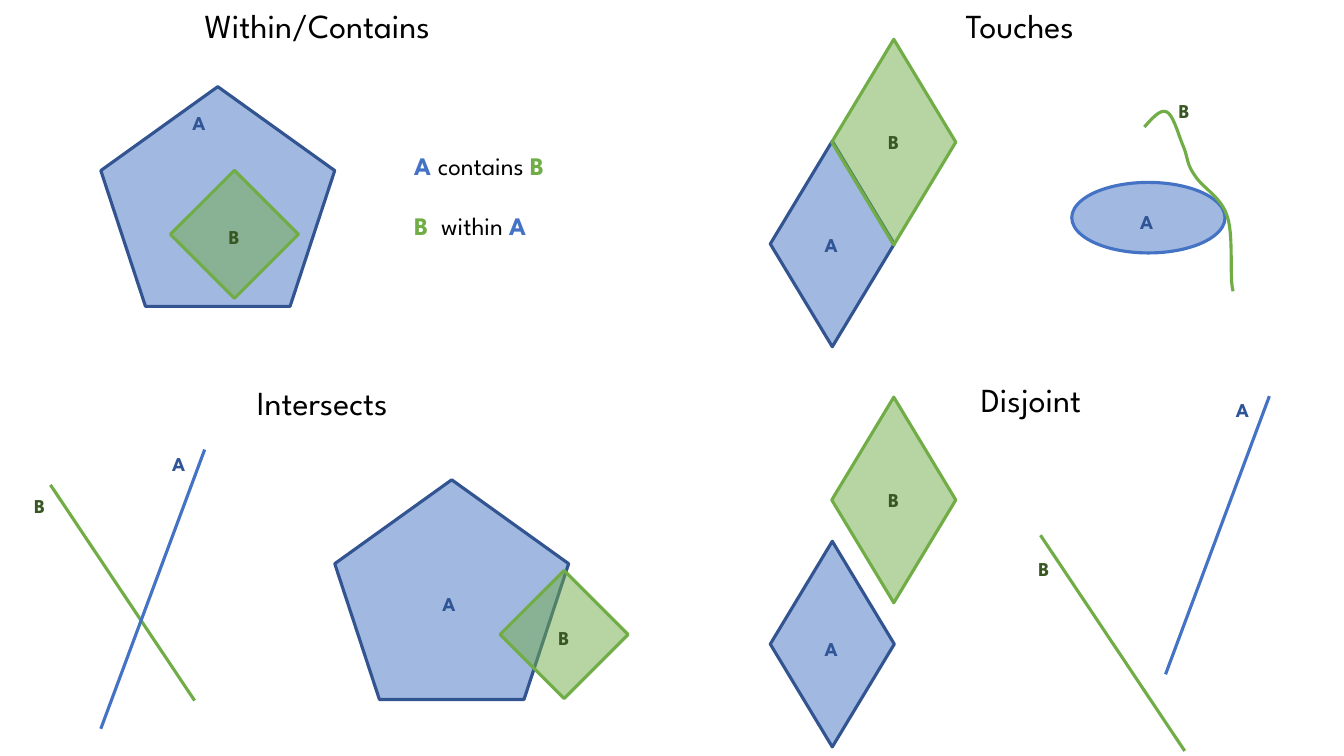
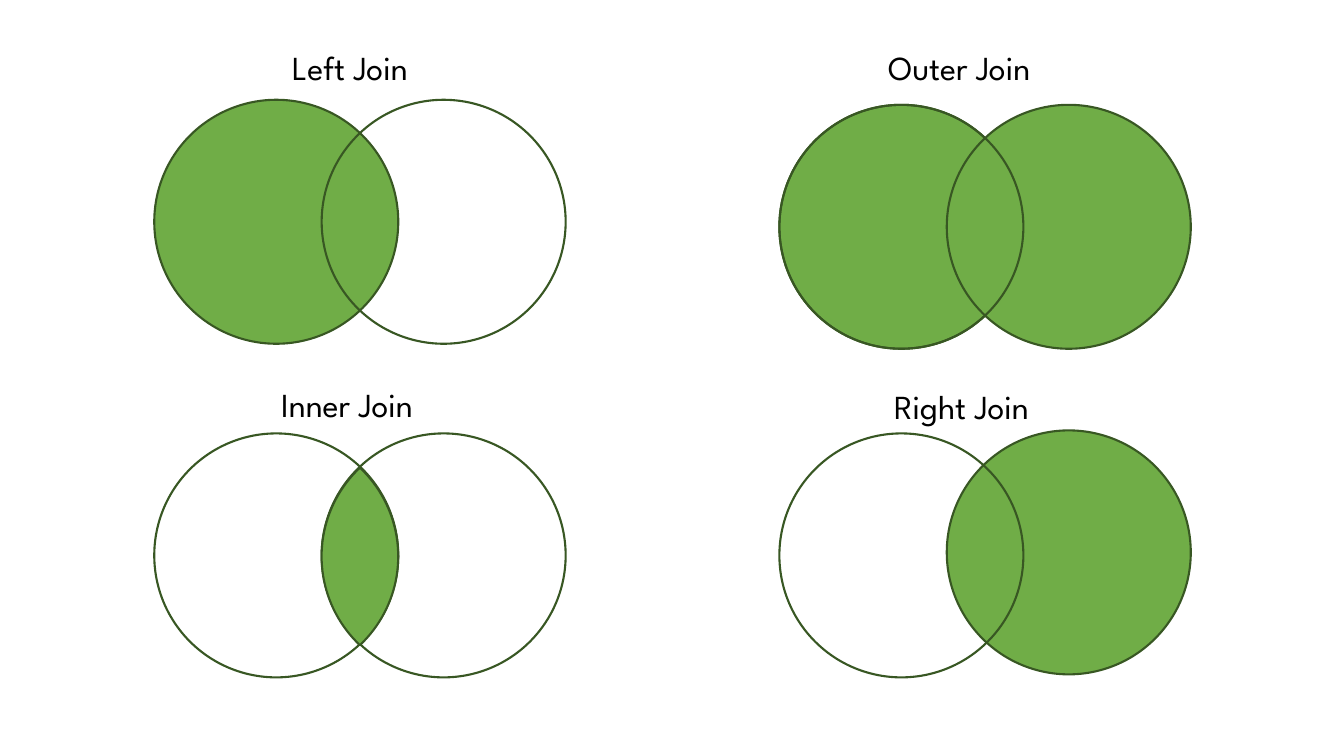
from math import acos, cos, pi, sin
from lxml.etree import SubElement
from pptx import Presentation
from pptx.dml.color import RGBColor
from pptx.enum.shapes import MSO_CONNECTOR, MSO_SHAPE
from pptx.enum.text import MSO_AUTO_SIZE
from pptx.oxml.ns import qn
from pptx.util import Inches, Pt

FONT = "League Spartan"
BLACK = RGBColor(0x00, 0x00, 0x00)
WHITE = RGBColor(0xFF, 0xFF, 0xFF)
BLUE = RGBColor(0x44, 0x72, 0xC4)
BLUE_EDGE = RGBColor(0x32, 0x54, 0x91)
BLUE_TEXT = RGBColor(0x2F, 0x55, 0x97)
GREEN = RGBColor(0x70, 0xAD, 0x47)
GREEN_DARK = RGBColor(0x38, 0x57, 0x23)


def write(slide, box, paragraphs, size):
    frame = slide.shapes.add_textbox(*map(Inches, box)).text_frame
    frame.word_wrap = False
    frame.auto_size = MSO_AUTO_SIZE.SHAPE_TO_FIT_TEXT
    for index, pieces in enumerate(paragraphs):
        paragraph = frame.add_paragraph() if index else frame.paragraphs[0]
        if index:
            paragraph.space_before = Pt(21.5)
        for words, color, bold in pieces:
            run = paragraph.add_run()
            run.text = words
            run.font.name = FONT
            run.font.size = Pt(size)
            run.font.bold = bold
            run.font.color.rgb = color


def paint(shape, fill, edge, weight, opacity=100):
    shape.shadow.inherit = False
    shape.line.color.rgb = edge
    shape.line.width = Pt(weight)
    if fill is None:
        shape.fill.background()
        return
    shape.fill.solid()
    shape.fill.fore_color.rgb = fill
    if opacity < 100:
        tint = shape.element.spPr.find(qn("a:solidFill"))[0]
        SubElement(tint, qn("a:alpha")).set("val", str(opacity * 1000))


deck = Presentation()
deck.slide_width = Inches(13.33)
deck.slide_height = Inches(7.5)
blank = deck.slide_layouts[6]

relations = deck.slides.add_slide(blank)

for name, left, top, width in [
    ("Within/Contains", 1.93, 0, 2.78),
    ("Touches", 9.48, 0, 1.54),
    ("Intersects", 2.45, 3.74, 1.73),
    ("Disjoint", 9.63, 3.71, 1.33),
]:
    write(relations, (left, top, width, 0.5), [[(name, BLACK, False)]], 24)

write(relations, (4.01, 1.44, 1.72, 1.01), [
    [("A ", BLUE, True), ("contains ", BLACK, False), ("B", GREEN, True)],
    [("B ", GREEN, True), (" within ", BLACK, False), ("A", BLUE, True)],
], 18)

pentagon = (MSO_SHAPE.REGULAR_PENTAGON, 2.32, 2.18, BLUE, BLUE_EDGE)
square = (MSO_SHAPE.DIAMOND, 1.27, 1.27, GREEN, GREEN)
rhombus_a = (MSO_SHAPE.DIAMOND, 1.23, 2.04, BLUE, BLUE_EDGE)
rhombus_b = (MSO_SHAPE.DIAMOND, 1.23, 2.04, GREEN, GREEN)
lake = (MSO_SHAPE.OVAL, 1.52, 0.7, BLUE, BLUE)
for (kind, width, height, fill, edge), left, top in [
    (pentagon, 1, 0.86), (square, 1.69, 1.69),
    (lake, 10.63, 1.81),
    (rhombus_a, 7.64, 1.4), (rhombus_b, 8.25, 0.39),
    (pentagon, 3.32, 4.76), (square, 4.96, 5.66),
    (rhombus_a, 7.64, 5.37), (rhombus_b, 8.25, 3.94),
]:
    region = relations.shapes.add_shape(
        kind, Inches(left), Inches(top), Inches(width), Inches(height))
    paint(region, fill, edge, 2.25, 50)

river_bends = [
    ((11.43, 1.17), (11.51, 1.08), (11.57, 1.11)),
    ((11.64, 1.14), (11.69, 1.35), (11.74, 1.46)),
    ((11.78, 1.56), (11.77, 1.63), (11.85, 1.74)),
    ((11.92, 1.86), (12.11, 1.95), (12.17, 2.14)),
    ((12.24, 2.33), (12.19, 2.76), (12.23, 2.89)),
]
STEPS = 12
river_points = [(11.35, 1.26)]
for bend in river_bends:
    corners = list(zip(river_points[-1], *bend))
    for step in range(1, STEPS + 1):
        t = step / STEPS
        u = 1 - t
        river_points.append(tuple(
            u**3 * a + 3 * u * u * t * b + 3 * u * t * t * c + t**3 * d
            for a, b, c, d in corners))
river_points = [(Inches(x), Inches(y)) for x, y in river_points]
river_outline = relations.shapes.build_freeform(*river_points[0])
river_outline.add_line_segments(river_points[1:], close=False)
paint(river_outline.convert_to_shape(), None, GREEN, 2.25)

for color, start, end in [
    (GREEN, (0.5, 4.81), (1.93, 6.95)),
    (BLUE, (2.03, 4.46), (1, 7.23)),
    (GREEN, (10.32, 5.31), (11.75, 7.45)),
    (BLUE, (12.59, 3.93), (11.56, 6.69)),
]:
    road = relations.shapes.add_connector(
        MSO_CONNECTOR.STRAIGHT, *map(Inches, start + end))
    road.line.color.rgb = color
    road.line.width = Pt(2.25)
    SubElement(road.element.spPr, qn("a:effectLst"))

for letter, color, width, spots in [
    ("A", BLUE_TEXT, 0.35, [
        (1.81, 1.05), (8.08, 2.26), (8.08, 6.27), (4.29, 5.82),
        (1.61, 4.43), (12.16, 3.9), (11.21, 2.03)]),
    ("B", GREEN_DARK, 0.32, [
        (2.17, 2.18), (8.71, 1.24), (8.71, 4.79), (5.44, 6.16),
        (0.24, 4.85), (10.2, 5.48), (11.59, 0.93)]),
]:
    for left, top in spots:
        write(relations, (left, top, width, 0.34), [[(letter, color, True)]], 14)

joins = deck.slides.add_slide(blank)
DIAMETER = 2.42
OFFSET = 1.66

for left, top, fill in [
    (1.53, 0.99, GREEN), (1.53 + OFFSET, 0.99, None),
    (7.73, 1.04, GREEN), (7.73 + OFFSET, 1.04, GREEN), (7.73, 1.04, None),
    (1.53, 4.3, WHITE), (1.53 + OFFSET, 4.3, None),
    (7.73 + OFFSET, 4.27, GREEN), (7.73, 4.3, None),
]:
    circle = joins.shapes.add_shape(
        MSO_SHAPE.OVAL, Inches(left), Inches(top), Inches(DIAMETER), Inches(DIAMETER))
    paint(circle, fill, GREEN_DARK, 1.5)

radius = DIAMETER / 2
half_angle = acos(OFFSET / DIAMETER)
overlap_points = []
for center, facing in [(1.53 + radius, 0), (1.53 + OFFSET + radius, pi)]:
    for step in range(41):
        angle = facing + half_angle * (step / 20 - 1)
        overlap_points.append((
            Inches(center + radius * cos(angle)),
            Inches(5.52 + radius * sin(angle))))
overlap_outline = joins.shapes.build_freeform(*overlap_points[0])
overlap_outline.add_line_segments(overlap_points[1:], close=True)
paint(overlap_outline.convert_to_shape(), GREEN, GREEN_DARK, 1.5)

for name, left, top, width in [
    ("Left Join", 2.8, 0.42, 1.54),
    ("Outer Join", 8.71, 0.42, 1.88),
    ("Inner Join", 2.69, 3.76, 1.76),
    ("Right Join", 8.77, 3.78, 1.77),
]:
    write(joins, (left, top, width, 0.5), [[(name, BLACK, False)]], 24)

deck.save("out.pptx")
